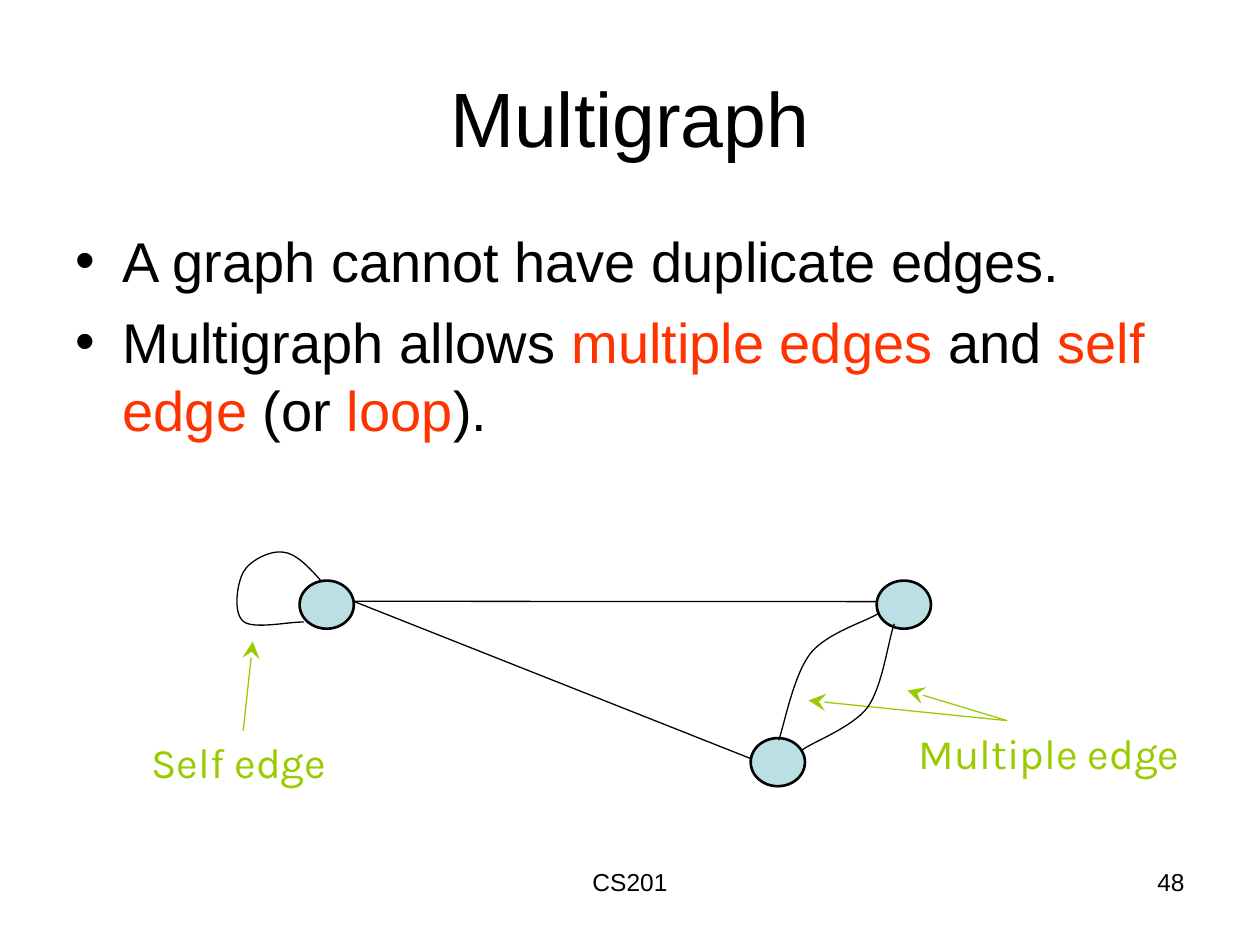
import dataclasses

import lxml.etree
import pptx
import pptx.dml.color
import pptx.enum.shapes
import pptx.enum.text
import pptx.oxml.ns
import pptx.util

Pt = pptx.util.Pt
ALIGN = pptx.enum.text.PP_ALIGN
ANCHOR = pptx.enum.text.MSO_ANCHOR
COLORS = {"text": "000000", "accent": "FF3300", "node": "BBE0E3", "edge": "000000", "note": "99CC00"}
NODE_W, NODE_H = 31, 27.5


@dataclasses.dataclass
class Label:
    text: str
    box: tuple
    size: float
    font: str = "Arial"
    color: str = "text"
    align: int = ALIGN.LEFT
    anchor: int = ANCHOR.TOP
    wrap: bool = True


@dataclasses.dataclass
class Line:
    start: tuple
    end: tuple
    color: str = "edge"
    arrow: bool = False


def rgb(name: str):
    return pptx.dml.color.RGBColor.from_string(COLORS[name])


def sub(parent, tag: str, **attrs):
    return lxml.etree.SubElement(parent, pptx.oxml.ns.qn(tag), **attrs)


def style_run(r, size: float, font: str, color: str) -> None:
    r.font.size = Pt(size)
    r.font.name = font
    r.font.color.rgb = rgb(color)


def add_box(s, box: tuple, wrap: bool = True):
    tf = s.shapes.add_textbox(*map(Pt, box)).text_frame
    tf.word_wrap = wrap
    return tf


def add_label(s, label: Label) -> None:
    tf = add_box(s, label.box, label.wrap)
    tf.vertical_anchor = label.anchor
    p = tf.paragraphs[0]
    p.text = label.text
    p.alignment = label.align
    style_run(p.runs[0], label.size, label.font, label.color)


def add_bullets(s, box: tuple, bullets: list) -> None:
    tf = add_box(s, box)
    for i, parts in enumerate(bullets):
        p = tf.add_paragraph() if i else tf.paragraphs[0]
        pPr = p._p.get_or_add_pPr()
        pPr.set("marL", str(Pt(27)))
        pPr.set("indent", str(-Pt(27)))
        sub(pPr, "a:buFont", typeface="Arial")
        sub(pPr, "a:buChar", char="•")
        if i:
            p.space_before = Pt(8)
        for text, color in parts:
            r = p.add_run()
            r.text = text
            style_run(r, 32, "Arial", color)


def add_line(s, line: Line) -> None:
    sp = s.shapes.add_connector(pptx.enum.shapes.MSO_CONNECTOR.STRAIGHT,
                                *map(Pt, line.start + line.end))
    sp.line.color.rgb = rgb(line.color)
    sp.line.width = Pt(0.75)
    if line.arrow:
        sub(sp.line._get_or_add_ln(), "a:tailEnd", type="stealth", w="lg", len="lg")
    sub(sp._element.spPr, "a:effectLst")


def add_node(s, left: float, top: float) -> None:
    sp = s.shapes.add_shape(pptx.enum.shapes.MSO_SHAPE.OVAL,
                            Pt(left), Pt(top), Pt(NODE_W), Pt(NODE_H))
    sp.shadow.inherit = False
    sp.fill.solid()
    sp.fill.fore_color.rgb = rgb("node")
    sp.line.color.rgb = rgb("edge")
    sp.line.width = Pt(1.5)


def add_curve(s, points: list) -> None:
    """Chain of cubics; neighbouring cubics share their end point."""
    fb = s.shapes.build_freeform(*map(Pt, points[0]))
    fb.add_line_segments([tuple(map(Pt, pt)) for pt in points[1:]], close=False)
    sp = fb.convert_to_shape()
    # Turn each three line segments into one cubic
    segments = list(sp._element.iter(pptx.oxml.ns.qn("a:lnTo")))
    outline = segments[0].getparent()
    for i in range(0, len(segments), 3):
        cubic = sub(outline, "a:cubicBezTo")
        for segment in segments[i:i + 3]:
            cubic.append(segment[0])
            outline.remove(segment)
    sp.shadow.inherit = False
    sp.fill.background()
    sp.line.color.rgb = rgb("edge")
    sp.line.width = Pt(0.75)


LABELS = [
    Label("CS201", (246, 492, 228, 37.5), 14, align=ALIGN.CENTER),
    Label("48", (516, 492, 168, 37.5), 14, align=ALIGN.RIGHT),
    Label("Multigraph", (36, 21.5, 648, 90), 44, align=ALIGN.CENTER, anchor=ANCHOR.MIDDLE),
    Label("Multiple edge", (518, 412, 169, 36), 24, "Karla", "note", wrap=False),
    Label("Self edge", (79.5, 417.5, 118, 36), 24, "Karla", "note", wrap=False),
]
BULLETS = [
    [("A graph cannot have duplicate edges.", "text")],
    [("Multigraph allows ", "text"), ("multiple edges", "accent"), (" and ", "text"),
     ("self edge", "accent"), (" (or ", "text"), ("loop", "accent"), (").", "text")],
]
NODES = [(501, 331.8), (429, 421.8), (171.2, 331.8)]
LINES = [
    Line((202, 343.6), (429, 433.5)),
    Line((202, 343.6), (501, 343.8)),
    Line((575.5, 411.8), (518.5, 394.6), "note", True),
    Line((575.5, 411.8), (462, 400.3), "note", True),
    Line((139, 417.5), (144.5, 366.5), "note", True),
]
CURVES = [
    # Two parallel edges
    [(502, 350.5), (495.5, 355), (472.5, 361.5), (463, 373.5),
     (453.5, 386), (448.5, 412.5), (445, 423)],
    [(458.5, 428.5), (464.5, 424), (487.5, 415.5), (496, 404),
     (504.5, 391.5), (507.5, 366.5), (511, 356.5)],
    # Self loop
    [(184, 332.5), (176.5, 324), (169, 316), (161.5, 315.5),
     (154, 314.5), (142.5, 320.5), (139, 327), (135.5, 333.5),
     (133, 350), (139, 355), (144.5, 360), (166.5, 355), (173.5, 355.5)],
]


def main() -> None:
    prs = pptx.Presentation()
    prs.slide_width, prs.slide_height = Pt(720), Pt(540)
    s = prs.slides.add_slide(prs.slide_layouts[6])

    # Text
    for label in LABELS:
        add_label(s, label)
    add_bullets(s, (36, 126, 648, 356.5), BULLETS)

    # Graph
    for node in NODES:
        add_node(s, *node)
    for line in LINES:
        add_line(s, line)
    for curve in CURVES:
        add_curve(s, curve)

    prs.save("out.pptx")


if __name__ == "__main__":
    main()
